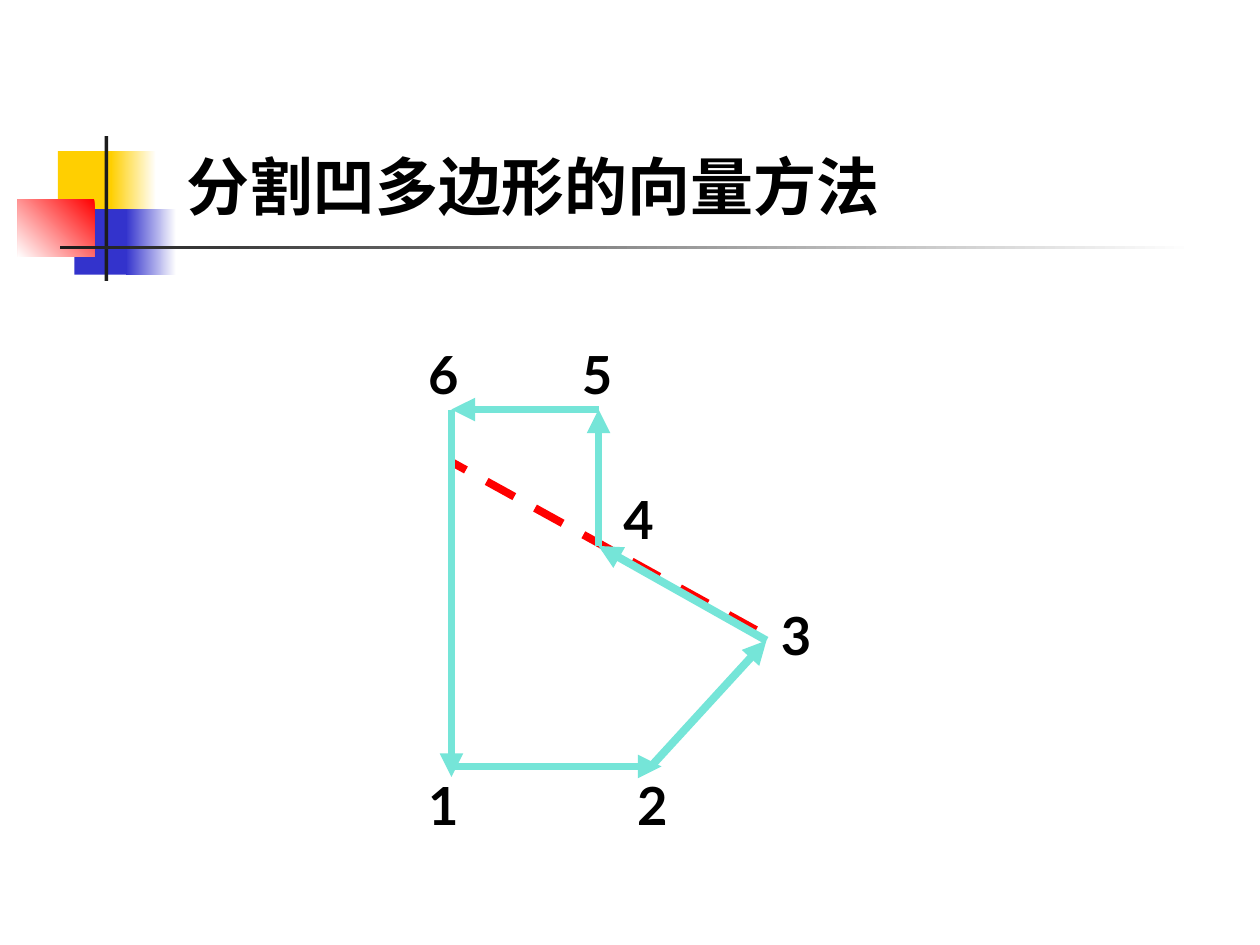
from lxml.etree import SubElement
from pptx import Presentation
from pptx.dml.color import RGBColor
from pptx.enum.dml import MSO_LINE
from pptx.enum.shapes import MSO_CONNECTOR, MSO_SHAPE
from pptx.enum.text import MSO_ANCHOR, MSO_AUTO_SIZE
from pptx.oxml.ns import qn
from pptx.util import Inches, Pt

# The slide is a grid of 120 columns by 90 rows of square cells
COLS, ROWS = 120, 90
CELL = Inches(10) / COLS
TEAL, RED, BLACK, WHITE = "75E5D8", "FF0000", "000000", "FFFFFF"
GOLD, BLUE, DARK = "FFCF01", "3333CC", "1C1C1C"


def tint(code):
    return RGBColor.from_string(code)


def cells(*nums):
    return [round(n * CELL) for n in nums]


def block(slide, box, part, fill, angle=180):
    """Borderless rectangle; a pair of colours makes a gradient."""
    left, top = box[:2]
    x, y, w, h = part
    shape = slide.shapes.add_shape(
        MSO_SHAPE.RECTANGLE, *cells(left + x, top + y, w, h))
    shape.shadow.inherit = False
    shape.line.fill.background()
    if isinstance(fill, str):
        shape.fill.solid()
        shape.fill.fore_color.rgb = tint(fill)
        return
    shape.fill.gradient()
    shape.fill.gradient_angle = angle
    for stop, code in zip(shape.fill.gradient_stops, fill):
        stop.color.rgb = tint(code)


def label(slide, box, text, size, frame):
    """Bold text in a box of cells."""
    area = slide.shapes.add_textbox(*cells(*box)).text_frame
    for key, val in frame.items():
        setattr(area, key, val)
    para = area.paragraphs[0]
    para.text = text
    for key, val in {"name": "Lato", "size": Pt(size), "bold": True}.items():
        setattr(para.font, key, val)
    para.font.color.rgb = tint(BLACK)


def stroke(slide, box, start, end, code, dash=None):
    """Thick line: dashed if a dash is given, else an arrow."""
    left, top = box[:2]
    ends = [n for x, y in (start, end) for n in (left + x, top + y)]
    edge = slide.shapes.add_connector(MSO_CONNECTOR.STRAIGHT, *cells(*ends))
    edge.line.width = Pt(4.5)
    edge.line.color.rgb = tint(code)
    if dash:
        edge.line.dash_style = dash
    else:
        SubElement(edge.line._get_or_add_ln(), qn("a:tailEnd"), type="triangle")
    SubElement(edge._element.spPr, qn("a:effectLst"))


def motif(slide, box):
    """Coloured squares and the two rules beside the title."""
    wide = box[2]
    block(slide, box, (3.84, 1.44, 5.76, 6.24), GOLD)
    block(slide, box, (8.88, 1.44, 4.32, 6.24), (WHITE, GOLD))
    block(slide, box, (5.4, 6.96, 5.52, 6.24), BLUE)
    block(slide, box, (10.32, 6.96, 4.8, 6.24), (WHITE, BLUE))
    block(slide, box, (0, 6, 7.32, 5.52), (RED, WHITE), 225)
    block(slide, box, (8.28, 0, 0.36, box[3]), DARK)
    block(slide, box, (4.08, 10.44, wide - 4.08, 0.36), (WHITE, DARK))


def heading(slide, box):
    label(slide, box, "分割凹多边形的向量方法", 36,
          {"word_wrap": True, "vertical_anchor": MSO_ANCHOR.BOTTOM})


def figure(slide, box):
    """Concave polygon, its cutting line and its numbered corners."""
    # Cutting line along edge 3-4
    stroke(slide, box, (29, 21), (0, 5), RED, MSO_LINE.DASH)

    # Edges as vectors
    edges = [((0, 0), (0, 35)), ((0, 34), (20, 34)), ((19, 34), (30, 22)),
             ((30, 22), (14, 13)), ((14, 13), (14, 0)), ((14, 0), (0, 0))]
    for start, end in edges:
        stroke(slide, box, start, end, TEAL)

    # Corner numbers
    spots = {"1": (-3.4, 34), "2": (16.5, 34), "6": (-3.4, -7),
             "5": (11.25, -7), "4": (15.2, 6.84), "3": (30.2, 17.8)}
    for text, (x, y) in spots.items():
        label(slide, (box[0] + x, box[1] + y, 5.28, 7.2), text, 30,
              {"word_wrap": False, "auto_size": MSO_AUTO_SIZE.SHAPE_TO_FIT_TEXT})


def main():
    deck = Presentation()
    deck.slide_width, deck.slide_height = cells(COLS, ROWS)
    slide = deck.slides.add_slide(deck.slide_layouts[6])
    motif(slide, (1.68, 12.96, 112.08, 13.8))
    heading(slide, (16.56, 11.88, 91.32, 9.96))
    figure(slide, (43, 39, 30, 35))
    deck.save("out.pptx")


if __name__ == "__main__":
    main()
